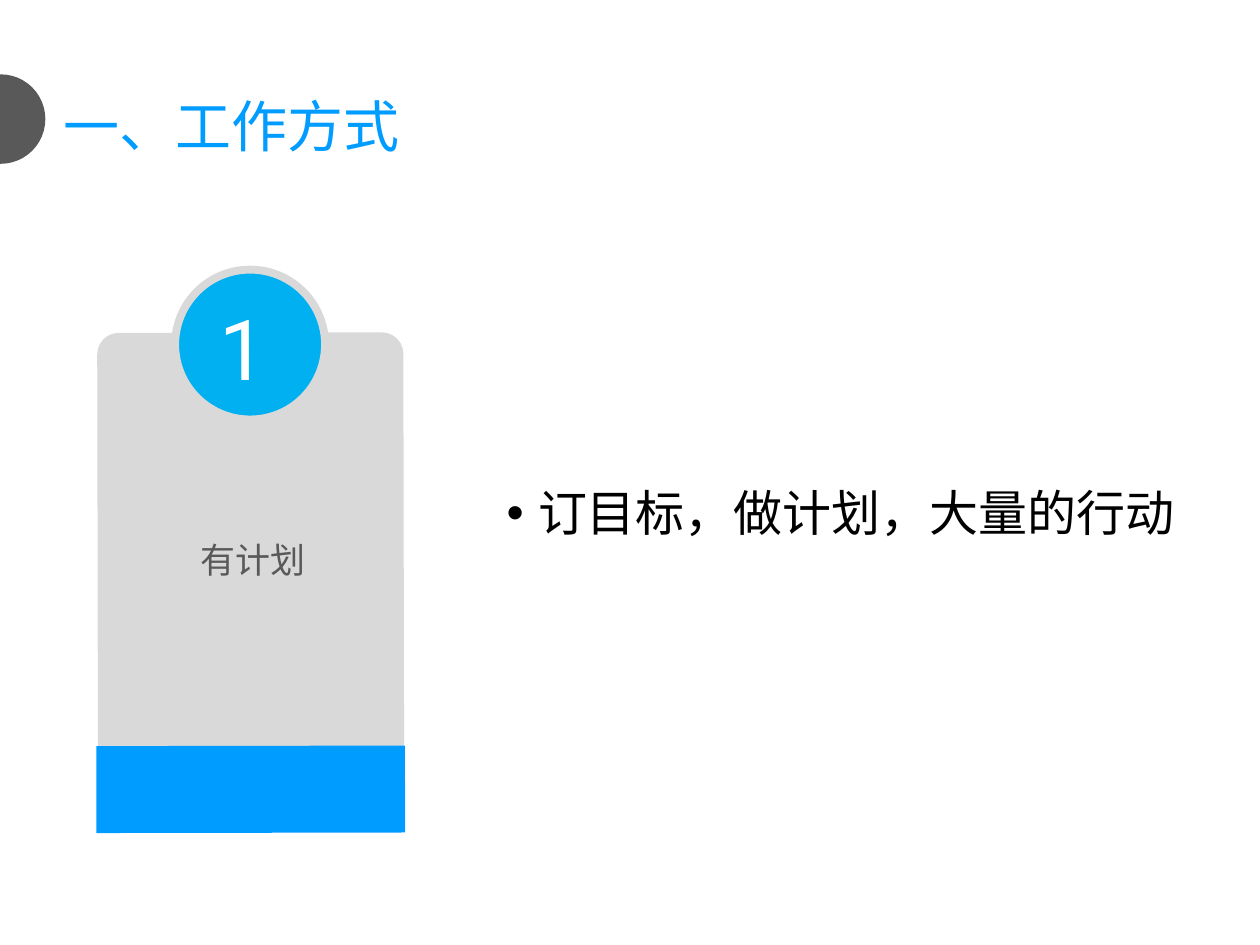
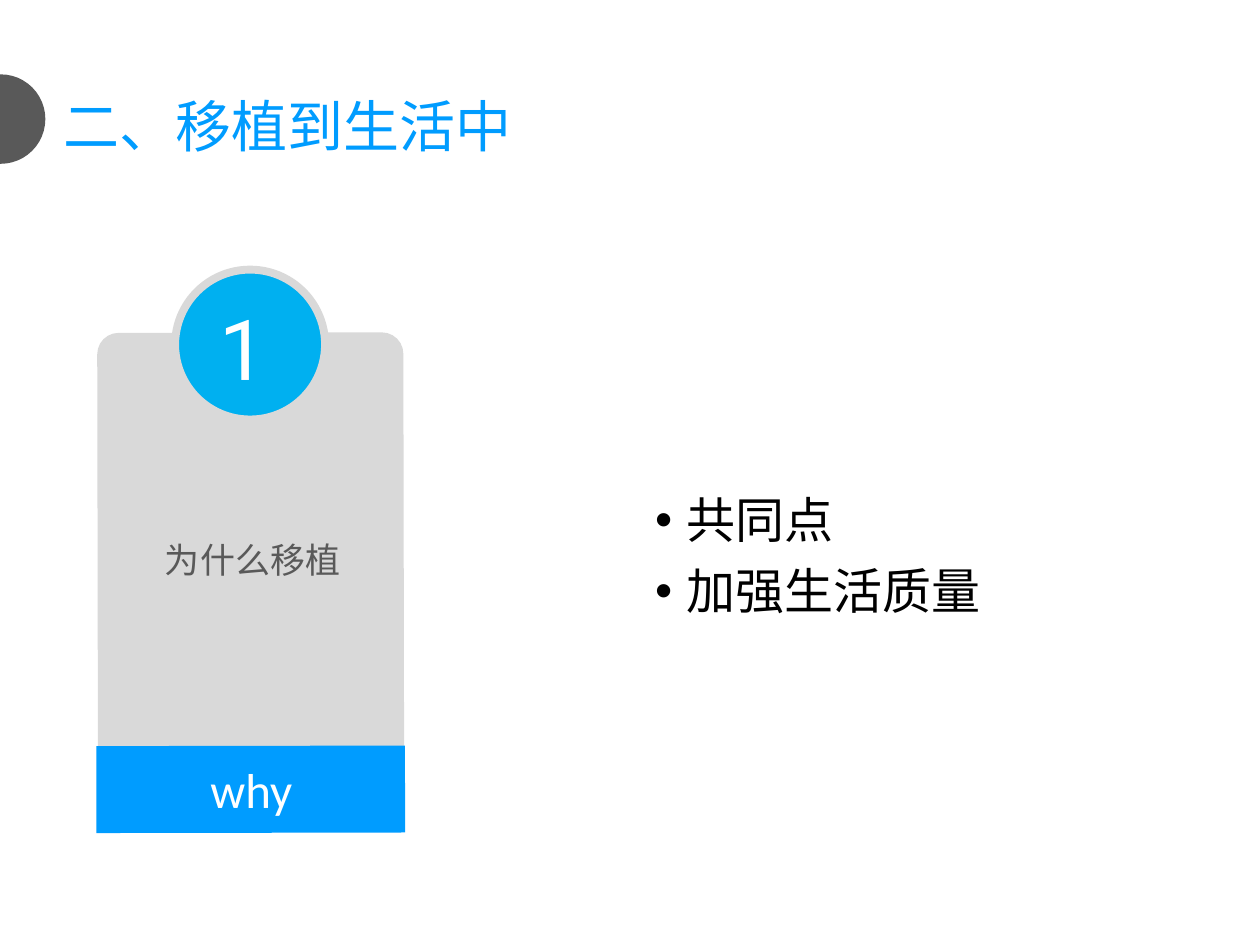
"""Build two slides, each with a numbered card and a bullet list."""
from dataclasses import dataclass
from lxml.etree import SubElement
from pptx import Presentation
from pptx.dml.color import RGBColor
from pptx.enum.shapes import MSO_SHAPE
from pptx.enum.text import MSO_ANCHOR, MSO_AUTO_SIZE, PP_ALIGN
from pptx.oxml.ns import qn
from pptx.util import Inches, Pt

SLIDES = [
    {"title": "一、工作方式", "wide": 2.78, "card": "有计划", "foot": "",
     "list": ["订目标，做计划，大量的行动"], "spot": (3.97, 3.83)},
    {"title": "二、移植到生活中", "wide": 3.67, "card": "为什么移植", "foot": "why",
     "list": ["共同点", "加强生活质量"], "spot": (5.15, 3.89)},
]


@dataclass(frozen=True)
class Theme:
    """Colours, fonts and type sizes."""
    blue: str = "009CFF"
    sky: str = "00B0F0"
    grey: str = "D9D9D9"
    dark: str = "595959"
    black: str = "000000"
    white: str = "FFFFFF"
    font: str = "Calibri"
    digit: str = "Roboto"
    title: int = 32
    body: int = 28
    label: int = 20
    number: int = 48


LOOK = Theme()
TILT = 359.9
MID = 1.99


def rgb(code):
    """Turn a hex code into a colour."""
    return RGBColor.from_string(code)


def place(item, left, top, width, height):
    """Set position and size in inches."""
    item.left, item.top = Inches(left), Inches(top)
    item.width, item.height = Inches(width), Inches(height)


def draw(shapes, kind, box, fill, line=None):
    """Add a filled preset shape."""
    shape = shapes.add_shape(kind, *map(Inches, box))
    shape.shadow.inherit = False
    shape.fill.solid()
    shape.fill.fore_color.rgb = rgb(fill)
    if line:
        shape.line.color.rgb = rgb(line)
        shape.line.width = Pt(4.5)
    else:
        shape.line.fill.background()
    return shape


def write(item, lines, size, color, font=LOOK.font, align=PP_ALIGN.LEFT,
          wrap=False, grow=True, space=None, dots=False):
    """Fill a text frame and format its paragraphs."""
    frame = item.text_frame
    frame.text = "\n".join(lines)
    frame.word_wrap = wrap
    frame.auto_size = MSO_AUTO_SIZE.SHAPE_TO_FIT_TEXT if grow else MSO_AUTO_SIZE.NONE
    frame.vertical_anchor = MSO_ANCHOR.TOP
    frame.margin_left = frame.margin_right = Inches(0.05)
    frame.margin_top = frame.margin_bottom = Inches(0.05)
    for para in frame.paragraphs:
        if dots:
            props = para._p.get_or_add_pPr()
            props.set("marL", str(Inches(0.25)))
            props.set("indent", str(-Inches(0.25)))
            SubElement(props, qn("a:buFont"), typeface="Arial")
            SubElement(props, qn("a:buChar"), char="•")
            para.space_before = Pt(10)
        para.alignment = align
        para.line_spacing = space
        para.font.name, para.font.size = font, Pt(size)
        para.font.color.rgb = rgb(color)


def label(shapes, box, text, size, color, **style):
    """Add a text box with one line."""
    item = shapes.add_textbox(*map(Inches, box))
    write(item, [text], size, color, **style)
    return item


def card(slide, text, foot):
    """Draw the numbered card with its foot band."""
    shapes = slide.shapes.add_group_shape().shapes
    panel = draw(shapes, MSO_SHAPE.ROUND_2_SAME_RECTANGLE,
                 (MID - 1.215, 2.64, 2.43, 3.96), LOOK.grey)
    panel.adjustments[0] = 0.07
    draw(shapes, MSO_SHAPE.RECTANGLE, (MID - 1.225, 5.92, 2.45, 0.69), LOOK.blue)
    if foot:
        label(shapes, (MID - 0.4, 5.98, 0.81, 0.54), foot, LOOK.body, LOOK.white,
              align=PP_ALIGN.CENTER)
    draw(shapes, MSO_SHAPE.OVAL, (MID - 0.6, 2.14, 1.19, 1.19), LOOK.sky, LOOK.grey)
    label(shapes, (1.69, 2.3, 0.48, 0.91), "1", LOOK.number, LOOK.white, font=LOOK.digit)
    label(shapes, (MID - 1.16, 4.09, 2.35, 0.49), text, LOOK.label, LOOK.dark,
          align=PP_ALIGN.CENTER, wrap=True, space=1.4)
    for item in shapes:
        item.rotation = TILT


def build(deck, page):
    """Add one slide from its content."""
    slide = deck.slides.add_slide(deck.slide_layouts[5])
    title = slide.shapes.title
    place(title, 0.45, 0.68, page["wide"], 0.73)
    write(title, [page["title"]], LOOK.title, LOOK.blue)
    draw(slide.shapes, MSO_SHAPE.OVAL, (-0.35, 0.59, 0.71, 0.71), LOOK.dark)
    card(slide, page["card"], page["foot"])
    points = slide.shapes.add_textbox(*map(Inches, (*page["spot"], 8.62, 5.5)))
    write(points, page["list"], LOOK.body, LOOK.black, wrap=True, grow=False,
          space=0.9, dots=True)


deck = Presentation()
deck.slide_width, deck.slide_height = Inches(10), Inches(7.5)
for page in SLIDES:
    build(deck, page)
deck.save("out.pptx")
